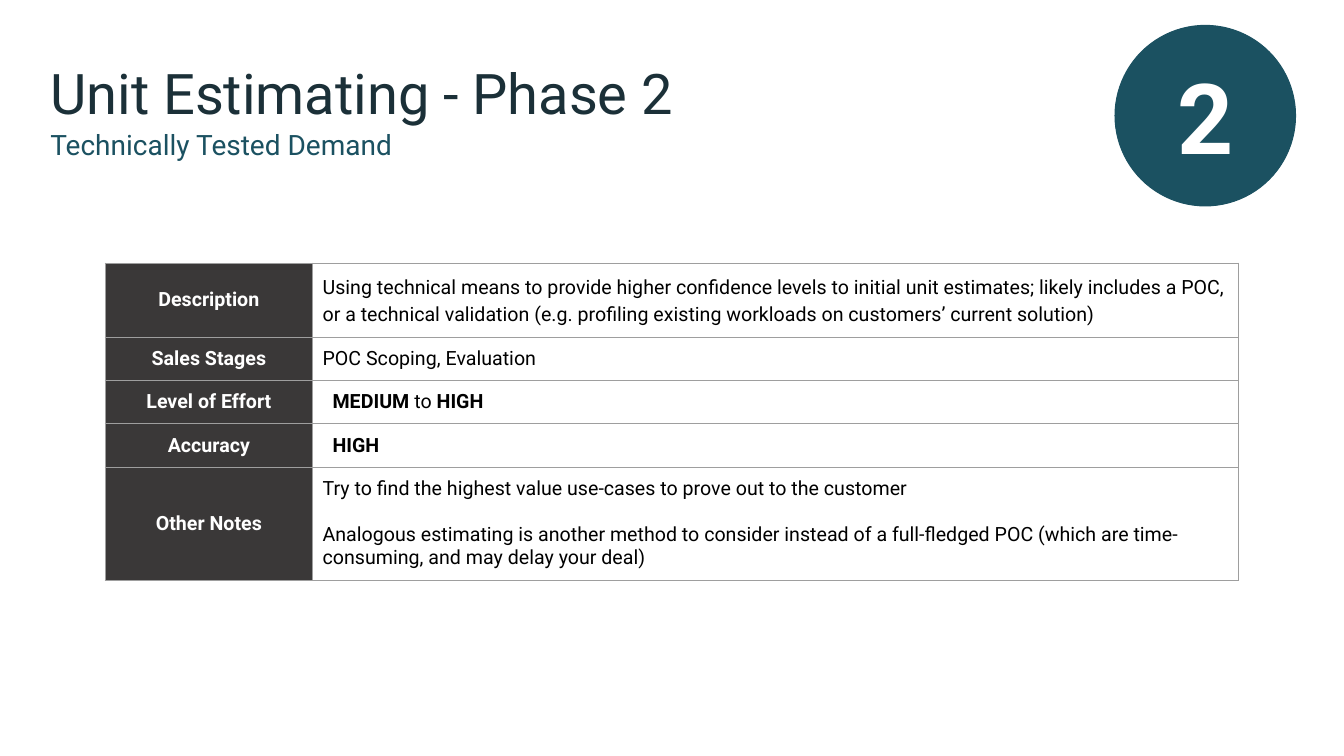
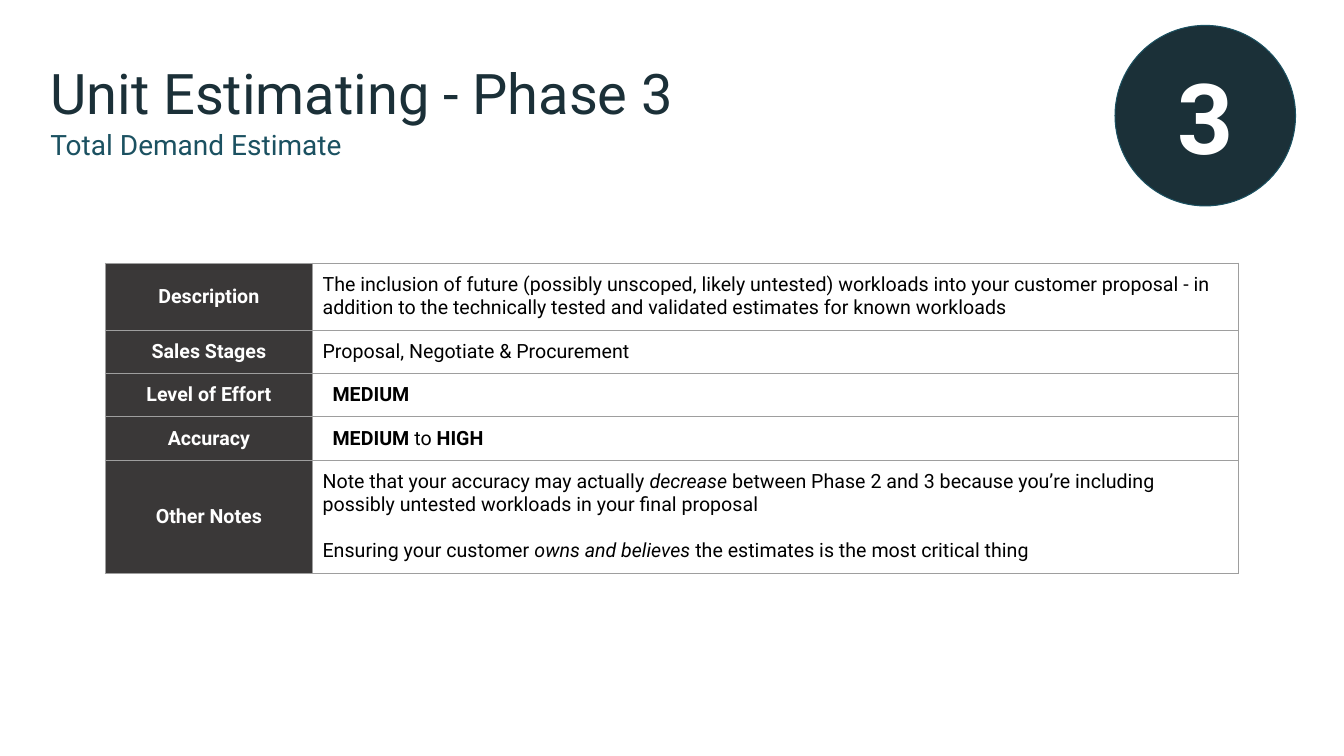
from dataclasses import dataclass
from typing import NamedTuple

from lxml.etree import SubElement
from pptx import Presentation
from pptx.dml.color import RGBColor
from pptx.enum.shapes import MSO_SHAPE
from pptx.enum.text import MSO_ANCHOR, PP_ALIGN
from pptx.oxml.ns import qn
from pptx.util import Cm, Pt

FONT = "Roboto"
COLORS = {
    "navy": "1B3038",
    "teal": "1B5161",
    "label": "3A3838",
    "border": "9E9E9E",
    "white": "FFFFFF",
    "black": "000000",
}

LEFT, TOP = 1.27, 0.64
TITLE_W, TITLE_H, SUBTITLE_H = 19.3, 2.54, 1.78
BADGE_LEFT, BADGE_SIZE = 28.1, 4.55
TABLE_LEFT, TABLE_TOP = 2.65, 6.63
COL_WIDTHS = (5.23, 23.34)
ROW_HEIGHTS = (1.65, 1.07, 1.07, 1.07, 2.8)
INSET = 0.25
LABELS = ("Description", "Sales Stages", "Level of Effort", "Accuracy", "Other Notes")


class Span(NamedTuple):
    text: str
    bold: bool = False
    italic: bool = False


Paragraph = tuple[Span, ...]


class Entry(NamedTuple):
    paragraphs: tuple[Paragraph, ...]
    indent: float = 0
    line_spacing: float = 1.0


@dataclass
class Phase:
    number: int
    subtitle: str
    badge: str
    entries: tuple[Entry, ...]


def plain(*texts: str, line_spacing: float = 1.0) -> Entry:
    return Entry(tuple((Span(t),) for t in texts), line_spacing=line_spacing)


def rating(*levels: str) -> Entry:
    """Bold levels joined by a regular "to", set in a little from the cell edge."""
    spans = [Span(levels[0], bold=True)]
    for level in levels[1:]:
        spans += [Span(" to "), Span(level, bold=True)]
    return Entry((tuple(spans),), indent=INSET)


PHASES = (
    Phase(2, "Technically Tested Demand", "teal", (
        plain("Using technical means to provide higher confidence levels to initial unit "
              "estimates; likely includes a POC, or a technical validation (e.g. profiling "
              "existing workloads on customers’ current solution)", line_spacing=1.15),
        plain("POC Scoping, Evaluation"),
        rating("MEDIUM", "HIGH"),
        rating("HIGH"),
        plain("Try to find the highest value use-cases to prove out to the customer",
              "Analogous estimating is another method to consider instead of a full-fledged "
              "POC (which are time-consuming, and may delay your deal)"),
    )),
    Phase(3, "Total Demand Estimate", "navy", (
        plain("The inclusion of future (possibly unscoped, likely untested) workloads into "
              "your customer proposal - in addition to the technically tested and validated "
              "estimates for known workloads"),
        plain("Proposal, Negotiate & Procurement"),
        rating("MEDIUM"),
        rating("MEDIUM", "HIGH"),
        Entry((
            (Span("Note that your accuracy may actually "), Span("decrease", italic=True),
             Span(" between Phase 2 and 3 because you’re including possibly untested "
                  "workloads in your final proposal")),
            (Span("Ensuring your customer "), Span("owns and believes", italic=True),
             Span(" the estimates is the most critical thing")),
        )),
    )),
)


def rgb(name: str) -> RGBColor:
    return RGBColor.from_string(COLORS[name])


def write(tf, *paragraphs: Paragraph, size: float, color: str = "black",
          align=PP_ALIGN.LEFT, line_spacing: float = 1.0, gap: float = 0) -> None:
    """Fill a text frame; gap is the space in points between paragraphs."""
    for i, spans in enumerate(paragraphs):
        p = tf.add_paragraph() if i else tf.paragraphs[0]
        p.alignment = align
        p.line_spacing = line_spacing
        if i:
            p.space_before = Pt(gap)
        for span in spans:
            r = p.add_run()
            r.text = span.text
            r.font.name = FONT
            r.font.size = Pt(size)
            r.font.bold = span.bold
            r.font.italic = span.italic
            r.font.color.rgb = rgb(color)


def add_heading(s, text: str, top: float, height: float, *, size: float,
                color: str, anchor, pad: float = 0) -> None:
    tf = s.shapes.add_textbox(Cm(LEFT), Cm(top), Cm(TITLE_W), Cm(height)).text_frame
    tf.word_wrap = True
    tf.margin_left = tf.margin_right = 0
    tf.margin_top = tf.margin_bottom = Cm(pad)
    tf.vertical_anchor = anchor
    write(tf, (Span(text),), size=size, color=color, line_spacing=0.9)


def add_badge(s, phase: Phase) -> None:
    sp = s.shapes.add_shape(MSO_SHAPE.OVAL, Cm(BADGE_LEFT), Cm(TOP),
                            Cm(BADGE_SIZE), Cm(BADGE_SIZE))
    sp.shadow.inherit = False
    sp.fill.solid()
    sp.fill.fore_color.rgb = rgb(phase.badge)
    sp.line.color.rgb = rgb("teal")
    sp.line.width = Pt(0.75)
    tf = sp.text_frame
    tf.margin_left = tf.margin_right = tf.margin_top = tf.margin_bottom = Cm(INSET)
    tf.vertical_anchor = MSO_ANCHOR.MIDDLE
    write(tf, (Span(str(phase.number), bold=True),), size=70, color="white",
          align=PP_ALIGN.CENTER)


def format_cell(cell, anchor, indent: float = 0) -> None:
    """Set the insets, anchor and thin border on all four sides."""
    cell.margin_right = cell.margin_top = cell.margin_bottom = Cm(INSET)
    cell.margin_left = Cm(INSET + indent)
    cell.vertical_anchor = anchor
    tc_pr = cell._tc.get_or_add_tcPr()
    for side in ("lnL", "lnR", "lnT", "lnB"):
        ln = SubElement(tc_pr, qn(f"a:{side}"), w=str(Pt(0.75)))
        fill = SubElement(ln, qn("a:solidFill"))
        SubElement(fill, qn("a:srgbClr"), val=COLORS["border"])


def add_phase_table(s, entries: tuple[Entry, ...]) -> None:
    table = s.shapes.add_table(len(LABELS), len(COL_WIDTHS), Cm(TABLE_LEFT), Cm(TABLE_TOP),
                               Cm(sum(COL_WIDTHS)), Cm(sum(ROW_HEIGHTS))).table
    table.first_row = table.horz_banding = False
    for column, width in zip(table.columns, COL_WIDTHS):
        column.width = Cm(width)
    for row, height, label, entry in zip(table.rows, ROW_HEIGHTS, LABELS, entries):
        row.height = Cm(height)
        head, body = row.cells
        format_cell(head, MSO_ANCHOR.MIDDLE)
        head.fill.solid()
        head.fill.fore_color.rgb = rgb("label")
        write(head.text_frame, (Span(label, bold=True),), size=14, color="white",
              align=PP_ALIGN.CENTER)
        format_cell(body, MSO_ANCHOR.TOP, entry.indent)
        body.fill.background()
        write(body.text_frame, *entry.paragraphs, size=14,
              line_spacing=entry.line_spacing, gap=16.4)


def add_phase_slide(prs, phase: Phase) -> None:
    s = prs.slides.add_slide(prs.slide_layouts[6])
    add_heading(s, f"Unit Estimating - Phase {phase.number}", TOP, TITLE_H,
                size=40, color="navy", anchor=MSO_ANCHOR.BOTTOM)
    add_heading(s, phase.subtitle, TOP + TITLE_H, SUBTITLE_H,
                size=20, color="teal", anchor=MSO_ANCHOR.TOP, pad=0.13)
    add_phase_table(s, phase.entries)
    add_badge(s, phase)


def main() -> None:
    prs = Presentation()
    prs.slide_width, prs.slide_height = Cm(33.87), Cm(19.05)
    for phase in PHASES:
        add_phase_slide(prs, phase)
    prs.save("out.pptx")


if __name__ == "__main__":
    main()
